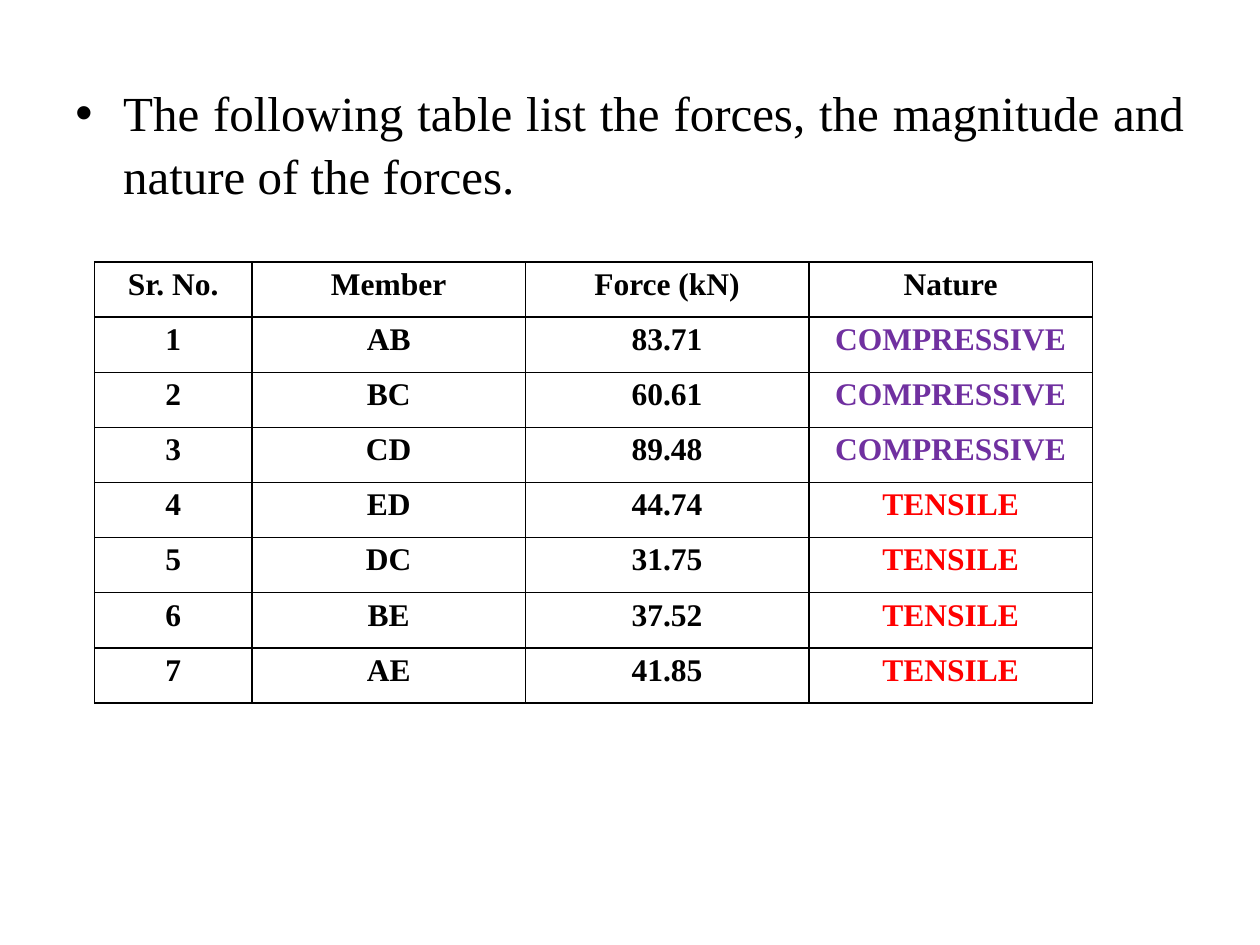
import dataclasses
import pptx
import pptx.dml.color
import pptx.enum.text
import pptx.oxml
import pptx.oxml.ns
import pptx.util

Inches = pptx.util.Inches
Pt = pptx.util.Pt
RGBColor = pptx.dml.color.RGBColor
PP_ALIGN = pptx.enum.text.PP_ALIGN

BLACK = RGBColor(0x00, 0x00, 0x00)
PURPLE = RGBColor(0x70, 0x30, 0xA0)
RED = RGBColor(0xFF, 0x00, 0x00)
NATURE_COLORS = {"COMPRESSIVE": PURPLE, "TENSILE": RED}

BODY_FONT = {"name": "Times New Roman", "size": Pt(28)}
CELL_FONT = {"name": "Times New Roman", "size": Pt(18), "bold": True}
CELL_FORMAT = {
    "margin_left": Inches(0.07),
    "margin_right": Inches(0.07),
    "margin_top": 0,
    "margin_bottom": 0,
}
HEADERS = ("Sr. No.", "Member", "Force (kN)", "Nature")
COL_WIDTHS = (1.25, 2.17, 2.25, 2.25)
TABLE_HEIGHT = 3.5


@dataclasses.dataclass
class MemberForce:
    member: str
    force: str
    nature: str


FORCES = (
    MemberForce("AB", "83.71", "COMPRESSIVE"),
    MemberForce("BC", "60.61", "COMPRESSIVE"),
    MemberForce("CD", "89.48", "COMPRESSIVE"),
    MemberForce("ED", "44.74", "TENSILE"),
    MemberForce("DC", "31.75", "TENSILE"),
    MemberForce("BE", "37.52", "TENSILE"),
    MemberForce("AE", "41.85", "TENSILE"),
)


def apply_format(target: object, values: dict) -> None:
    for name, value in values.items():
        setattr(target, name, value)


def parse_element(tag: str, attrs: str, content: str = ""):
    ns = pptx.oxml.ns.nsdecls("a")
    return pptx.oxml.parse_xml(f"<a:{tag} {ns} {attrs}>{content}</a:{tag}>")


def add_intro(s: pptx.slide.Slide, text: str) -> None:
    sp = s.shapes.add_textbox(Inches(0.5), Inches(0.58), Inches(9), Inches(6.12))
    tf = sp.text_frame
    tf.word_wrap = True
    p = tf.paragraphs[0]
    pPr = p._p.get_or_add_pPr()
    pPr.set("marL", str(Inches(0.38)))
    pPr.set("indent", str(-Inches(0.38)))
    pPr.append(parse_element("buFont", 'typeface="Arial"'))
    pPr.append(parse_element("buChar", 'char="•"'))
    apply_format(p, {"alignment": PP_ALIGN.JUSTIFY, "line_spacing": 1.06})
    r = p.add_run()
    r.text = text
    apply_format(r.font, BODY_FONT)
    r.font.color.rgb = BLACK


def add_borders(cell: pptx.table._Cell) -> None:
    tcPr = cell._tc.get_or_add_tcPr()
    line = f'<a:solidFill><a:srgbClr val="{BLACK}"/></a:solidFill>'
    for i, side in enumerate(("lnL", "lnR", "lnT", "lnB")):
        tcPr.insert(i, parse_element(side, f'w="{Pt(1)}"', line))


def fill_cell(cell: pptx.table._Cell, text: str) -> None:
    apply_format(cell, CELL_FORMAT)
    cell.fill.background()
    add_borders(cell)
    p = cell.text_frame.paragraphs[0]
    apply_format(p, {"alignment": PP_ALIGN.CENTER, "line_spacing": 1.15})
    r = p.add_run()
    r.text = text
    apply_format(r.font, CELL_FONT)
    r.font.color.rgb = NATURE_COLORS.get(text, BLACK)


def add_force_table(s: pptx.slide.Slide) -> None:
    rows = [HEADERS]
    for number, f in enumerate(FORCES, 1):
        rows.append((str(number), f.member, f.force, f.nature))
    frame = s.shapes.add_table(
        len(rows), len(HEADERS),
        Inches(0.75), Inches(2.08), Inches(sum(COL_WIDTHS)), Inches(TABLE_HEIGHT),
    )
    table = frame.table
    table.first_row = False
    table.horz_banding = False
    for col, width in zip(table.columns, COL_WIDTHS):
        col.width = Inches(width)
    for row, texts in zip(table.rows, rows):
        row.height = Inches(TABLE_HEIGHT / len(rows))
        for cell, text in zip(row.cells, texts):
            fill_cell(cell, text)


def main() -> None:
    prs = pptx.Presentation()
    prs.slide_width = Inches(10)
    prs.slide_height = Inches(7.5)
    s = prs.slides.add_slide(prs.slide_layouts[6])
    add_intro(
        s,
        "The following table list the forces, the magnitude and nature of the forces.",
    )
    add_force_table(s)
    prs.save("out.pptx")


if __name__ == "__main__":
    main()
